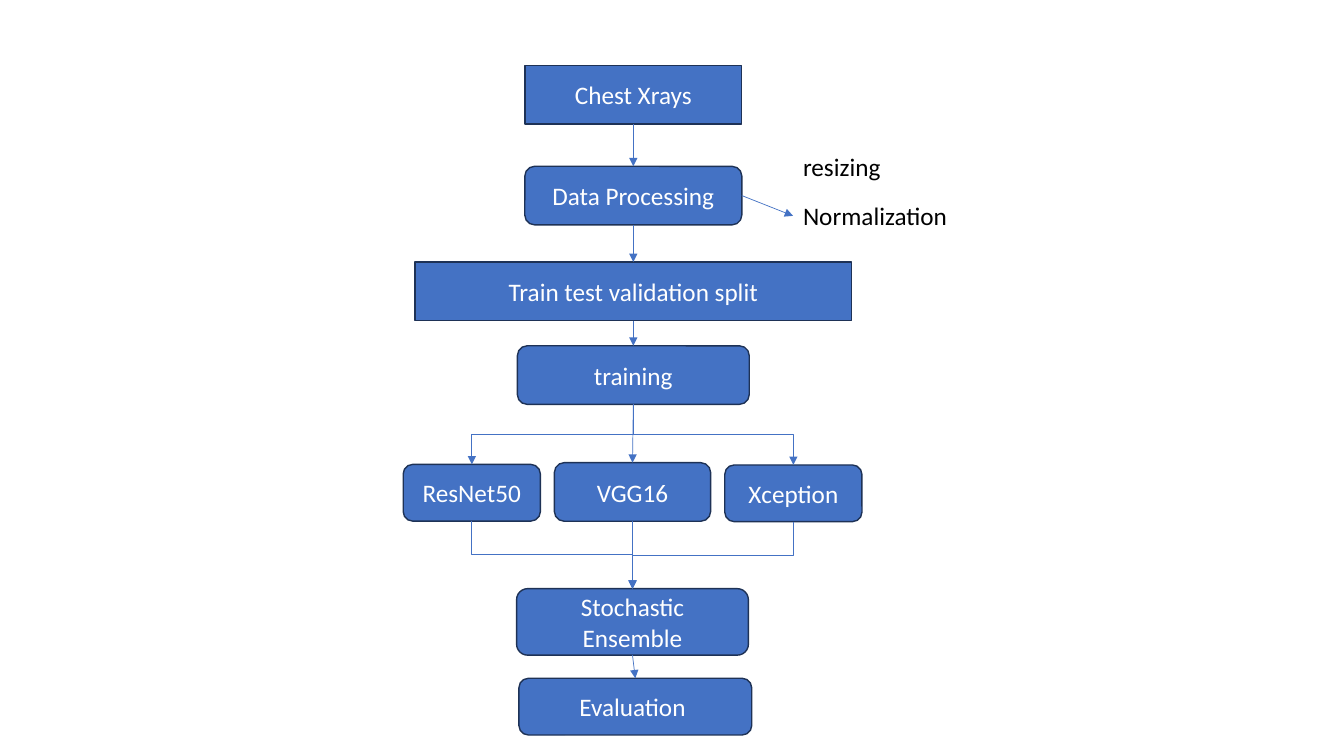
from pptx import Presentation
from pptx.dml.color import RGBColor
from pptx.enum.shapes import MSO_CONNECTOR as LINK, MSO_SHAPE as SHAPE
from pptx.enum.text import MSO_ANCHOR, MSO_AUTO_SIZE, PP_ALIGN
from pptx.oxml.ns import qn
from pptx.util import Pt
from lxml import etree

COLORS = {"fill": "4472C4", "outline": "1E3256", "light": "FFFFFF", "dark": "000000"}
TOP, LEFT, BOTTOM, RIGHT = range(4)

deck = Presentation()
deck.slide_width, deck.slide_height = Pt(960), Pt(540)
page = deck.slides.add_slide(deck.slide_layouts[6])


def write(box, text, color):
    para = box.text_frame.paragraphs[0]
    para.text = text
    para.font.name, para.font.size = "Calibri", Pt(18)
    para.font.color.rgb = RGBColor.from_string(COLORS[color])
    return para


def connect(kind, start, start_side, end, end_side):
    arrow = page.shapes.add_connector(kind, 0, 0, 0, 0)
    arrow.begin_connect(start, start_side)
    arrow.end_connect(end, end_side)
    arrow.line.color.rgb = RGBColor.from_string(COLORS["fill"])
    arrow.line.width = Pt(0.5)
    etree.SubElement(arrow.line._get_or_add_ln(), qn("a:tailEnd"), type="triangle")
    etree.SubElement(arrow._element.spPr, qn("a:effectLst"))
    return arrow


# Steps: text, shape, centre x, top, width, height
steps = [
    ("Chest Xrays", SHAPE.RECTANGLE, 452.4, 46.8, 155, 41.8),
    ("Data Processing", SHAPE.ROUNDED_RECTANGLE, 452.4, 118.8, 155, 41.8),
    ("Train test validation split", SHAPE.RECTANGLE, 452.4, 187.2, 312, 41.8),
    ("training", SHAPE.ROUNDED_RECTANGLE, 452.4, 247, 165.6, 41.8),
    ("VGG16", SHAPE.ROUNDED_RECTANGLE, 451.8, 330.5, 111.6, 41.8),
    ("Stochastic Ensemble", SHAPE.ROUNDED_RECTANGLE, 451.8, 420.5, 165.6, 47.5),
    ("Evaluation ", SHAPE.ROUNDED_RECTANGLE, 453.8, 484.5, 166.3, 40.5),
    ("ResNet50", SHAPE.ROUNDED_RECTANGLE, 337, 331.7, 98, 40.5),
    ("Xception", SHAPE.ROUNDED_RECTANGLE, 566.7, 332.1, 98, 40.5),
]
boxes = []
for text, shape, center, top, width, height in steps:
    box = page.shapes.add_shape(shape, Pt(center - width / 2), Pt(top), Pt(width), Pt(height))
    box.shadow.inherit = False
    box.fill.solid()
    box.fill.fore_color.rgb = RGBColor.from_string(COLORS["fill"])
    box.line.color.rgb = RGBColor.from_string(COLORS["outline"])
    box.line.width = Pt(1)
    box.text_frame.vertical_anchor = MSO_ANCHOR.MIDDLE
    write(box, text, "light").alignment = PP_ALIGN.CENTER
    boxes.append(box)
main_column, side_models = boxes[:7], boxes[7:]
processing, training, ensemble = boxes[1], boxes[3], boxes[5]

# Processing notes
for text, top, width in [("resizing", 104.4, 111.6), ("Normalization", 139.7, 157.7)]:
    note = page.shapes.add_textbox(Pt(566.5), Pt(top), Pt(width), Pt(29))
    note.text_frame.word_wrap = True
    note.text_frame.auto_size = MSO_AUTO_SIZE.SHAPE_TO_FIT_TEXT
    write(note, text, "dark")

# Straight arrows down the main column and out to the last note
for upper, lower in zip(main_column, main_column[1:]):
    connect(LINK.STRAIGHT, upper, BOTTOM, lower, TOP)
connect(LINK.STRAIGHT, processing, RIGHT, note, LEFT)

# Elbow arrows to and from the side models, turned to leave vertically
for model in side_models:
    for start, end in [(training, model), (model, ensemble)]:
        arrow = connect(LINK.ELBOW, start, BOTTOM, end, TOP)
        x1, y1, x2, y2 = arrow.begin_x, arrow.begin_y, arrow.end_x, arrow.end_y
        drop, span = y2 - y1, abs(x2 - x1)
        arrow.left, arrow.top = (x1 + x2 - drop) // 2, (y1 + y2 - span) // 2
        arrow.width, arrow.height = drop, span
        frame = arrow._element.spPr.find(qn("a:xfrm"))
        frame.set("rot", str((90 if x2 < x1 else 270) * 60000))
        frame.set("flipH", "0" if x2 < x1 else "1")
        frame.set("flipV", "0")

deck.save("out.pptx")
